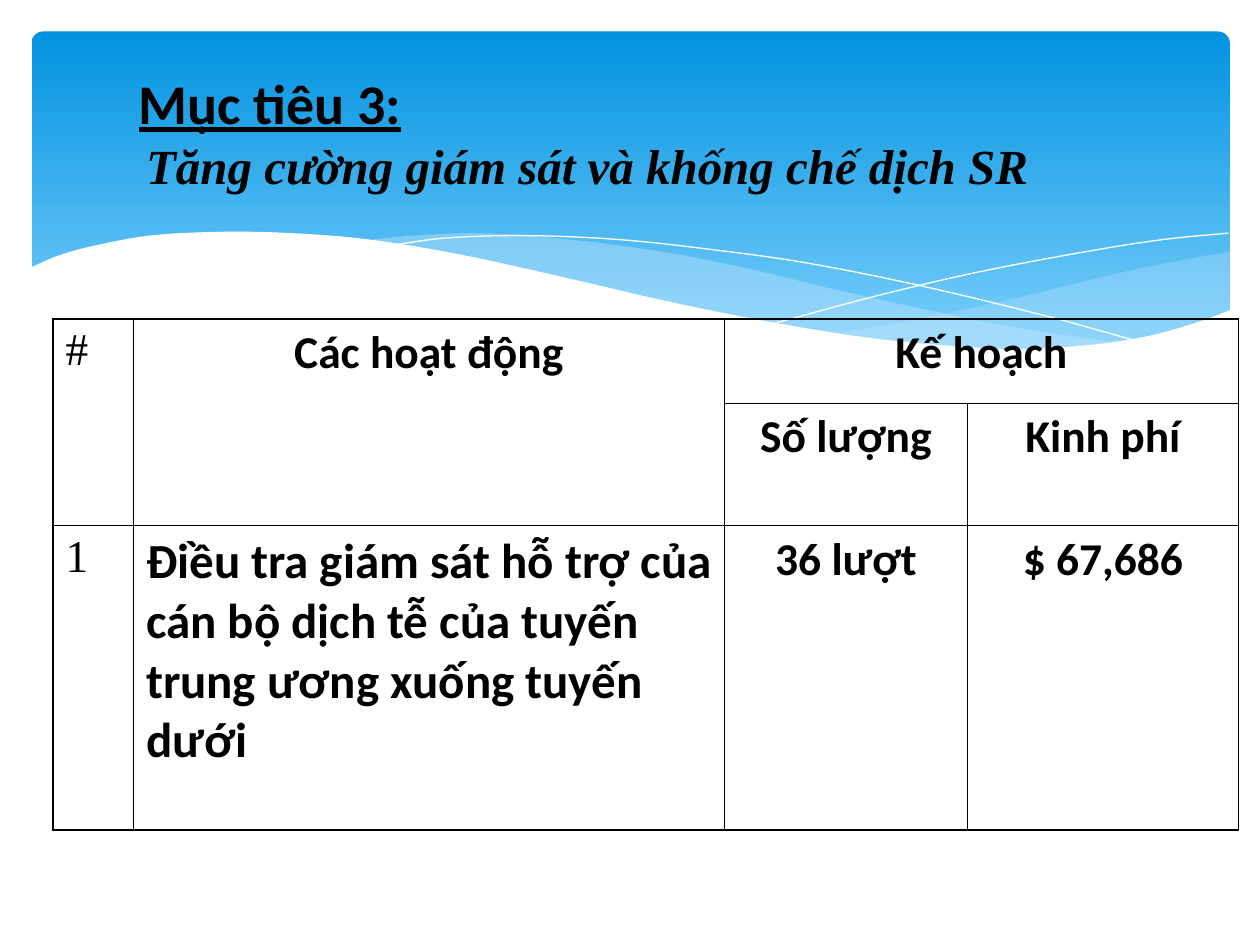
from lxml import etree
from pptx import Presentation
from pptx.dml.color import RGBColor
from pptx.enum.shapes import MSO_SHAPE
from pptx.enum.text import MSO_ANCHOR, MSO_AUTO_SIZE, PP_ALIGN
from pptx.oxml import parse_xml
from pptx.oxml.ns import nsdecls, qn
from pptx.util import Inches, Pt

LEFT, CENTER = PP_ALIGN.LEFT, PP_ALIGN.CENTER
MIDDLE, NO_FIT = MSO_ANCHOR.MIDDLE, MSO_AUTO_SIZE.NONE
ROUNDED = MSO_SHAPE.ROUNDED_RECTANGLE

BLACK, WHITE = RGBColor(0, 0, 0), RGBColor(255, 255, 255)
THEME = {
    "sky": (RGBColor(0x02, 0x93, 0xE0), RGBColor(0x83, 0xD3, 0xFE)),
    "wave": RGBColor(0xC6, 0xE7, 0xFC),
    "heading": dict(name="Calibri", size=Pt(32), bold=True, underline=True),
    "subheading": dict(name="Times New Roman", size=Pt(28), bold=True, italic=True),
    "label": dict(name="Calibri", size=Pt(26), bold=True),
    "activity": dict(name="Calibri", size=Pt(28), bold=True),
    "number": dict(name="Times New Roman", size=Pt(26), bold=False),
    "outer": 1.08,
    "inner": 0.45,
}

TITLE = [("Mục tiêu 3:", "heading"),
         ("Tăng cường giám sát và khống chế dịch SR", "subheading")]

COL_WIDTHS = [0.64, 4.69, 1.93, 2.15]
ROW_HEIGHTS = [0.67, 0.97, 2.42]
MERGES = [((0, 0), (1, 0)), ((0, 1), (1, 1)), ((0, 2), (0, 3))]
# (row, column): text, style, alignment
CELLS = {
    (0, 0): ("#", "number", LEFT),
    (0, 1): ("Các hoạt động", "label", CENTER),
    (0, 2): ("Kế hoạch", "label", CENTER),
    (1, 2): ("Số lượng", "label", CENTER),
    (1, 3): ("Kinh phí", "label", CENTER),
    (2, 0): ("1", "number", LEFT),
    (2, 1): ("Điều tra giám sát hỗ trợ của cán bộ dịch tễ của tuyến "
             "trung ương xuống tuyến dưới", "activity", LEFT),
    (2, 2): ("36 lượt", "label", CENTER),
    (2, 3): ("$ 67,686", "label", CENTER),
}

# Knots of the wave edges, left to right, in inches
RIGHT_WAVE = {
    "top": [(6.61, 2.65), (7.29, 2.53), (8.05, 2.37), (8.91, 2.16), (9.35, 2.07), (9.76, 2)],
    "bottom": [(6.61, 2.65), (7.18, 2.73), (7.69, 2.77), (8.14, 2.78), (8.63, 2.75),
               (9.13, 2.67), (9.49, 2.57), (9.76, 2.47)],
}
MIDDLE_WAVE = {
    "top": [(2.86, 1.91), (3.28, 1.87), (3.8, 1.85), (4.41, 1.89), (5.14, 1.98),
            (5.84, 2.11), (6.68, 2.31), (7.41, 2.47), (8.07, 2.6), (8.93, 2.73)],
    "bottom": [(2.86, 1.91), (3.62, 2.03), (4.49, 2.22), (5.3, 2.4), (6.01, 2.55),
               (6.65, 2.66), (7.36, 2.75), (8.07, 2.79), (8.57, 2.77), (8.93, 2.73)],
}
THIN_LINES = [
    [(3.09, 1.95), (3.53, 1.89), (4.16, 1.87), (4.89, 1.9), (5.56, 1.97), (6.36, 2.08),
     (7.27, 2.26), (8.31, 2.51), (9.07, 2.72)],
    [(6.13, 2.57), (6.95, 2.35), (7.76, 2.16), (8.66, 1.99), (9.24, 1.9), (9.75, 1.85)],
]
WHITE_EDGE = [(0.23, 2.13), (0.46, 2.03), (0.75, 1.95), (1.19, 1.87), (1.76, 1.84),
              (2.3, 1.85), (2.92, 1.9), (3.65, 2.02), (4.47, 2.2), (5.29, 2.39),
              (6.03, 2.54), (6.88, 2.68), (7.61, 2.75), (8.09, 2.77), (8.63, 2.74),
              (9.1, 2.67), (9.5, 2.56), (9.77, 2.46)]
WHITE_BOTTOM = 3.29


def smooth(knots, steps=6):
    """Return points on a smooth Hermite curve through the knots."""
    last = len(knots) - 1
    slopes = []
    for i in range(last + 1):
        (x0, y0), (x1, y1) = knots[max(i - 1, 0)], knots[min(i + 1, last)]
        slopes.append((y1 - y0) / (x1 - x0))
    points = [knots[0]]
    for i in range(last):
        (x0, y0), (x1, y1) = knots[i], knots[i + 1]
        w = x1 - x0
        for n in range(1, steps + 1):
            t = n / steps
            blend = t * t * (3 - 2 * t)
            y = (y0 + (y1 - y0) * blend + w * slopes[i] * t * (1 - t) ** 2
                 - w * slopes[i + 1] * t * t * (1 - t))
            points.append((x0 + w * t, y))
    return points


def add_outline(s, points, close=True):
    pts = [(Inches(x), Inches(y)) for x, y in points]
    builder = s.shapes.build_freeform(*pts[0])
    builder.add_line_segments(pts[1:], close=close)
    sp = builder.convert_to_shape()
    sp.shadow.inherit = False
    return sp


def add_filled(s, points, color, alpha=100):
    sp = add_outline(s, points)
    sp.fill.solid()
    sp.fill.fore_color.rgb = color
    sp.line.fill.background()
    if alpha < 100:
        rgb = sp.fill._xPr.find(qn("a:solidFill"))[0]
        etree.SubElement(rgb, qn("a:alpha")).set("val", str(alpha * 1000))


def add_banner(s):
    sp = s.shapes.add_shape(ROUNDED, Inches(0.25), Inches(0.25), Inches(9.51), Inches(2.7))
    sp.adjustments[0] = 0.034
    sp.shadow.inherit = False
    sp.line.fill.background()
    sp.fill.gradient()
    sp.fill.gradient_angle = 270
    for stop, color, position in zip(sp.fill.gradient_stops, THEME["sky"], (0, 1)):
        stop.color.rgb = color
        stop.position = position

    for wave, alpha in ((RIGHT_WAVE, 29), (MIDDLE_WAVE, 40)):
        edge = smooth(wave["top"]) + smooth(wave["bottom"])[::-1]
        add_filled(s, edge, THEME["wave"], alpha)
    for knots in THIN_LINES:
        sp = add_outline(s, smooth(knots), close=False)
        sp.fill.background()
        sp.line.color.rgb = WHITE
        sp.line.width = Pt(0)
    corners = [(WHITE_EDGE[-1][0], WHITE_BOTTOM), (WHITE_EDGE[0][0], WHITE_BOTTOM)]
    add_filled(s, smooth(WHITE_EDGE) + corners, WHITE)


def write(p, text, style):
    r = p.add_run()
    r.text = text
    for name, value in THEME[style].items():
        setattr(r.font, name, value)
    r.font.color.rgb = BLACK


def set_borders(cell, row, col):
    sides = {"lnL": col == 0, "lnR": col == len(COL_WIDTHS) - 1,
             "lnT": row == 0, "lnB": row == len(ROW_HEIGHTS) - 1}
    tc_pr = cell._tc.get_or_add_tcPr()
    for i, (tag, is_outer) in enumerate(sides.items()):
        width = Pt(THEME["outer" if is_outer else "inner"])
        tc_pr.insert(i, parse_xml(
            f'<a:{tag} {nsdecls("a")} w="{width}"><a:solidFill>'
            f'<a:srgbClr val="{BLACK}"/></a:solidFill></a:{tag}>'))


def add_plan_table(s):
    table = s.shapes.add_table(
        len(ROW_HEIGHTS), len(COL_WIDTHS), Inches(0.42), Inches(2.53),
        Inches(sum(COL_WIDTHS)), Inches(sum(ROW_HEIGHTS))).table
    table.first_row = table.horz_banding = False
    for column, width in zip(table.columns, COL_WIDTHS):
        column.width = Inches(width)
    for row, height in zip(table.rows, ROW_HEIGHTS):
        row.height = Inches(height)
    for start, end in MERGES:
        table.cell(*start).merge(table.cell(*end))
    for row in range(len(ROW_HEIGHTS)):
        for col in range(len(COL_WIDTHS)):
            cell = table.cell(row, col)
            cell.fill.background()
            set_borders(cell, row, col)
    for place, (text, style, align) in CELLS.items():
        p = table.cell(*place).text_frame.paragraphs[0]
        p.alignment = align
        write(p, text, style)


def add_title(s):
    title = s.shapes.title
    s.shapes._spTree.append(title._element)  # bring in front of the banner
    title.left, title.top = Inches(1), Inches(0.75)
    title.width, title.height = Inches(8.42), Inches(0.58)
    tf = title.text_frame
    tf.auto_size, tf.word_wrap, tf.vertical_anchor = NO_FIT, False, MIDDLE
    p = tf.paragraphs[0]
    p.alignment = LEFT
    p_pr = p._p.get_or_add_pPr()
    p_pr.set("marL", str(Inches(0.06)))
    p_pr.set("indent", str(-Inches(0.06)))
    for i, (text, style) in enumerate(TITLE):
        if i:
            p.add_line_break()
        write(p, text, style)


def main():
    prs = Presentation()
    prs.slide_width, prs.slide_height = Inches(10), Inches(7.5)
    s = prs.slides.add_slide(prs.slide_layouts[5])
    add_banner(s)
    add_plan_table(s)
    add_title(s)
    prs.save("out.pptx")


if __name__ == "__main__":
    main()
